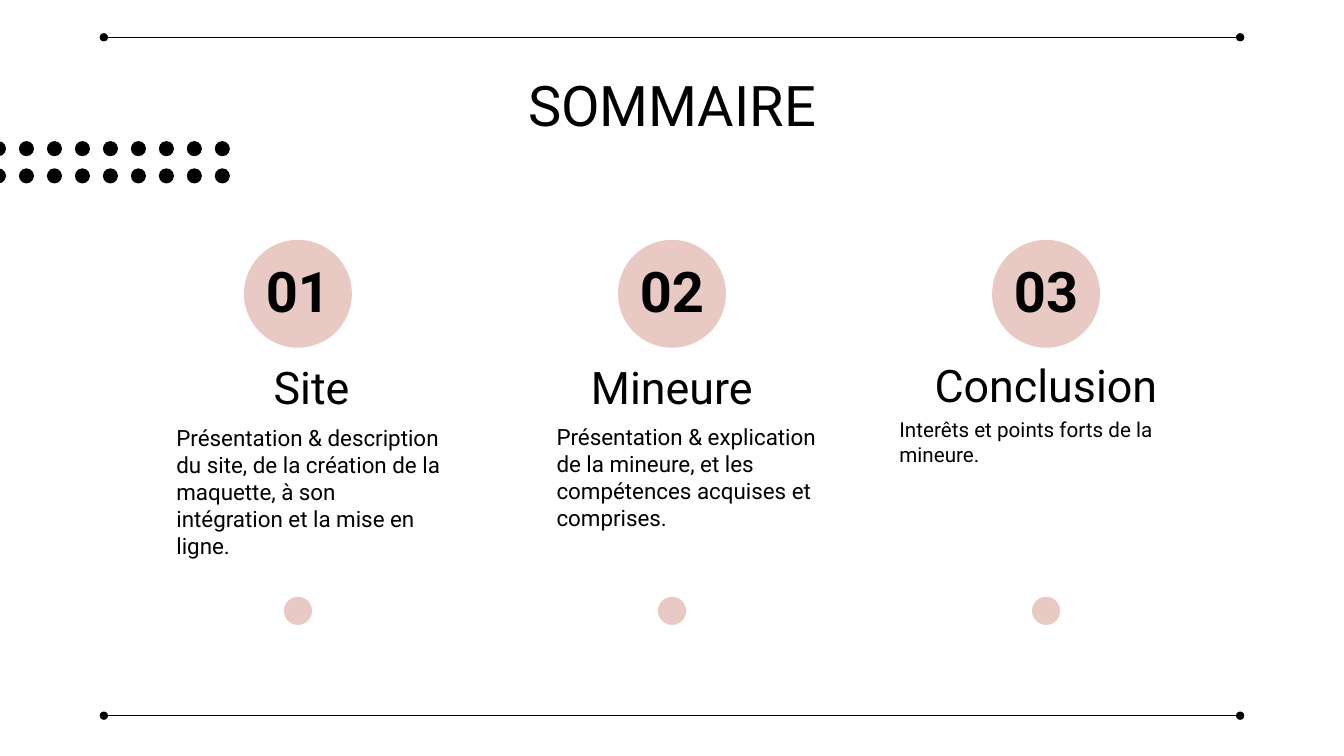
from dataclasses import dataclass

from pptx import Presentation
from pptx import util as u
from pptx.dml.color import RGBColor
from pptx.enum import shapes, text
from pptx.oxml.ns import qn
from lxml import etree


@dataclass(frozen=True)
class Theme:
    font: str = "Roboto"
    ink: RGBColor = RGBColor(0x00, 0x00, 0x00)
    accent: RGBColor = RGBColor(0xE9, 0xC9, 0xC4)
    paper: RGBColor = RGBColor(0xFF, 0xFF, 0xFF)
    title: float = 40
    number: float = 40
    heading: float = 32
    body: float = 16
    small_body: float = 14.7
    inset: float = 0.13
    heading_spacing: float = 0.9


def write(box, content, *, theme, size, bold=False, align=text.PP_ALIGN.LEFT,
          anchor=text.MSO_ANCHOR.TOP, spacing=1.0, indent=0):
    """Fill a box with one paragraph in the given format."""
    frame = box.text_frame
    frame.word_wrap = True
    frame.auto_size = text.MSO_AUTO_SIZE.NONE
    frame.vertical_anchor = anchor
    frame.margin_left = u.Inches(theme.inset + indent)
    frame.margin_right = frame.margin_top = frame.margin_bottom = u.Inches(theme.inset)
    para = frame.paragraphs[0]
    para.alignment = align
    para.line_spacing = spacing
    para.space_before = u.Pt(0)
    span = para.add_run()
    span.text = content
    span.font.name = theme.font
    span.font.size = u.Pt(size)
    span.font.bold = bold
    span.font.color.rgb = theme.ink


class PageBuilder:
    def __init__(self, page, theme):
        self.page = page
        self.theme = theme
        page.background.fill.solid()
        page.background.fill.fore_color.rgb = theme.paper

    def title(self, content, left, top, width, height):
        box = self.page.shapes.title
        box.left, box.top = u.Inches(left), u.Inches(top)
        box.width, box.height = u.Inches(width), u.Inches(height)
        self.centred(box, content, self.theme.title)

    def centred(self, box, content, size, **style):
        write(box, content, theme=self.theme, size=size, align=text.PP_ALIGN.CENTER,
              spacing=self.theme.heading_spacing, **style)

    def text_box(self, left, top, width, height):
        return self.page.shapes.add_textbox(
            u.Inches(left), u.Inches(top), u.Inches(width), u.Inches(height))

    def number(self, content, *place):
        self.centred(self.text_box(*place), content, self.theme.number,
                     bold=True, anchor=text.MSO_ANCHOR.MIDDLE)

    def heading(self, content, *place):
        self.centred(self.text_box(*place), content, self.theme.heading,
                     anchor=text.MSO_ANCHOR.BOTTOM)

    def body(self, content, *place, size, indent):
        write(self.text_box(*place), content, theme=self.theme, size=size, indent=indent)

    def circle(self, left, top, diameter, color, parent=None):
        circle = (parent or self.page).shapes.add_shape(
            shapes.MSO_SHAPE.OVAL, u.Inches(left), u.Inches(top),
            u.Inches(diameter), u.Inches(diameter))
        circle.shadow.inherit = False
        circle.fill.solid()
        circle.fill.fore_color.rgb = color
        circle.line.fill.background()

    def dot_grid(self, left, top, columns, rows, diameter, column_step, row_step):
        group = self.page.shapes.add_group_shape()
        for column in range(columns):
            for row in range(rows):
                self.circle(left + column * column_step, top + row * row_step,
                            diameter, self.theme.ink, group)

    def rule(self, left, right, y):
        rule = self.page.shapes.add_connector(
            shapes.MSO_CONNECTOR.STRAIGHT,
            u.Inches(left), u.Inches(y), u.Inches(right), u.Inches(y))
        rule.line.color.rgb = self.theme.ink
        rule.line.width = u.Pt(0.75)
        outline = rule.line._get_or_add_ln()
        for end in ("a:headEnd", "a:tailEnd"):
            etree.SubElement(outline, qn(end)).set("type", "oval")
        etree.SubElement(rule._element.spPr, qn("a:effectLst"))


def main():
    deck = Presentation()
    deck.slide_width, deck.slide_height = u.Inches(13.33), u.Inches(7.5)
    theme = Theme()
    builder = PageBuilder(deck.slides.add_slide(deck.slide_layouts[5]), theme)

    # Title and framing rules
    builder.title("SOMMAIRE", 1.05, 0.65, 11.23, 0.84)
    for y in (0.37, 7.1):
        builder.rule(1.03, 12.3, y)

    # Dots running in from the left edge
    builder.dot_grid(-0.09, 1.4, columns=9, rows=2, diameter=0.15,
                     column_step=0.2775, row_step=0.27)

    # Chapters: heading and place, body and place, body size and indent
    chapters = [
        ("Site", (0.98, 3.36, 4.22, 0.88),
         "Présentation & description du site, de la création de la maquette, "
         "à son intégration et la mise en ligne.",
         (1.37, 4.08, 3.17, 1.82), theme.body, 0.25),
        ("Mineure", (5.08, 3.4, 3.17, 0.84),
         "Présentation & explication de la mineure, et les compétences "
         "acquises et comprises.",
         (5.14, 4.07, 3.17, 1.82), theme.body, 0.25),
        ("Conclusion", (8.79, 3.45, 3.17, 0.77),
         "Interêts et points forts de la mineure.",
         (8.79, 4.01, 3.17, 1.82), theme.small_body, 0),
    ]
    badge, marker = 1.07, 0.28
    for index, (heading, heading_place, body, body_place, size, indent) in enumerate(chapters):
        left = 2.42 + index * 3.71
        builder.circle(left, 2.38, badge, theme.accent)
        builder.number(f"{index + 1:02}", left, 2.59, badge, 0.65)
        builder.heading(heading, *heading_place)
        builder.body(body, *body_place, size=size, indent=indent)
        builder.circle(left + (badge - marker) / 2, 5.92, marker, theme.accent)

    deck.save("out.pptx")


if __name__ == "__main__":
    main()
